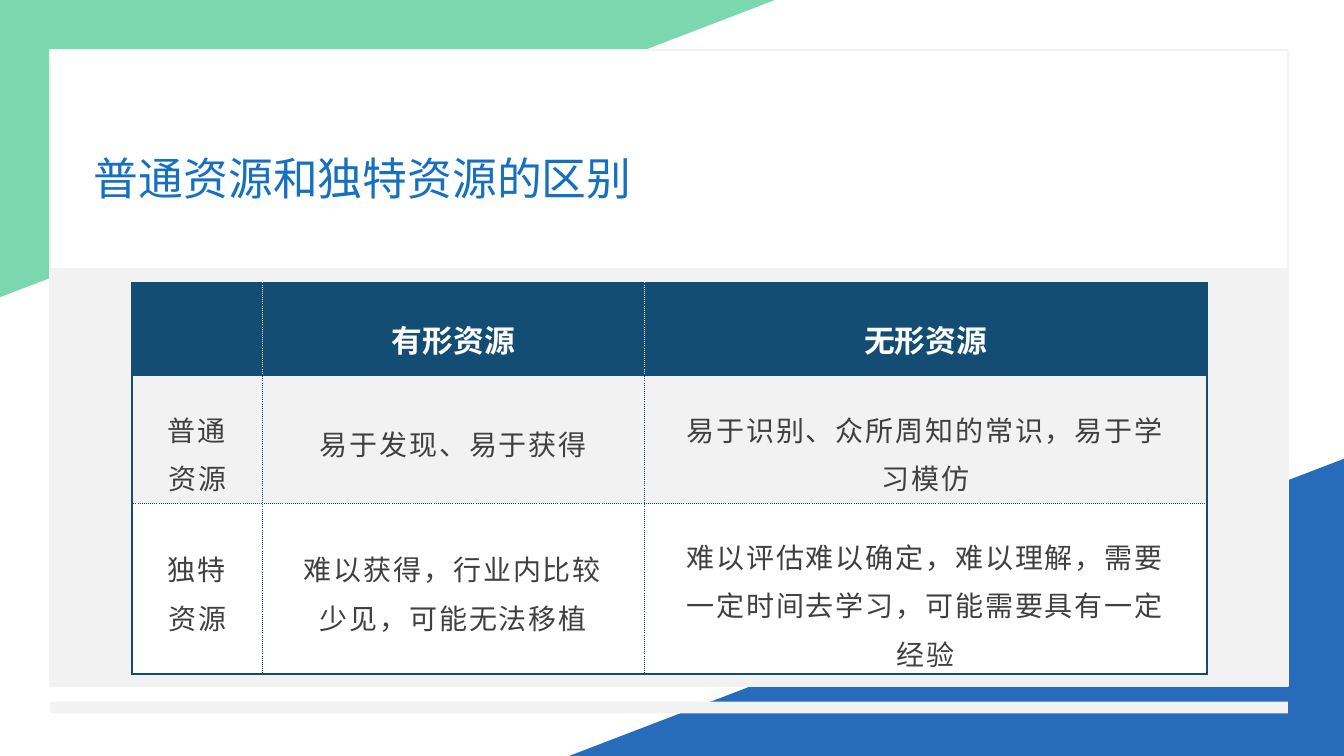
from lxml import etree
from pptx import Presentation
from pptx import util as u
from pptx.dml import color
from pptx.enum import shapes, text
from pptx.oxml import ns

FONT = "Noto Sans CJK SC"
NAVY, GREY, WHITE = "144D73", "F2F2F2", "FFFFFF"
TITLE = "普通资源和独特资源的区别"
ROWS = [
    ["", "有形资源", "无形资源"],
    ["普通资源", "易于发现、易于获得", "易于识别、众所周知的常识，易于学习模仿"],
    ["独特资源", "难以获得，行业内比较少见，可能无法移植",
     "难以评估难以确定，难以理解，需要一定时间去学习，可能需要具有一定经验"],
]
COLUMN_WIDTHS = [3.28, 9.63, 14.17]
ROW_HEIGHTS = [2.31, 3.23, 3.23]
ROW_FILLS = [NAVY, GREY, WHITE]
BOTTOM_MARGINS = [[0.33, 0.33, 0.33], [0.1, 0.61, 0.1], [0.61, 0.61, 0]]
SLIDE_WIDTH, SLIDE_HEIGHT = 33.87, 19.05
TRIANGLE_WIDTH, TRIANGLE_HEIGHT = 7.49, 19.53
TRIANGLES = [
    (SLIDE_WIDTH - TRIANGLE_HEIGHT, SLIDE_HEIGHT - TRIANGLE_WIDTH, 270, "266CBA", None),
    (0, 0, 90, "07B566", 53),
]
PANELS = [(17.68, 0.3, GREY, None), (1.27, 5.54, WHITE, GREY), (6.78, 10.5, GREY, GREY)]


def rgb(value):
    return color.RGBColor.from_string(value)


def add_child(parent, tag, **attributes):
    return etree.SubElement(parent, ns.qn(tag), **attributes)


def add_block(slide, kind, box, fill, line=None, rotation=0, opacity=None):
    shape = slide.shapes.add_shape(kind, *[u.Cm(value) for value in box])
    shape.shadow.inherit = False
    shape.rotation = rotation
    shape.fill.solid()
    shape.fill.fore_color.rgb = rgb(fill)
    if opacity:
        solid = shape.fill._xPr.find(ns.qn("a:solidFill"))
        add_child(solid[0], "a:alpha", val=str(opacity * 1000))
    if line:
        shape.line.color.rgb = rgb(line)
        shape.line.width = u.Pt(1.5)
    else:
        shape.line.fill.background()


def write_text(frame, content, size, fill, bold=False, align="CENTER", leading=1.2, spacing=0):
    frame.word_wrap = True
    paragraph = frame.paragraphs[0]
    paragraph.alignment = getattr(text.PP_ALIGN, align)
    paragraph.line_spacing = leading
    paragraph.space_before = u.Pt(0)
    run = paragraph.add_run()
    run.text = content
    run.font.size = u.Pt(size)
    run.font.bold = bold
    run.font.color.rgb = rgb(fill)
    run.font.name = FONT
    properties = run.font._element
    add_child(properties, "a:ea", typeface=FONT)
    if spacing:
        properties.set("spc", str(int(spacing * 100)))


def set_borders(cell, borders):
    properties = cell._tc.get_or_add_tcPr()
    for index, (side, (fill, width, dash)) in enumerate(borders.items()):
        line = etree.Element(ns.qn(f"a:ln{side}"), w=str(u.Pt(width)))
        add_child(add_child(line, "a:solidFill"), "a:srgbClr", val=fill)
        add_child(line, "a:prstDash", val=dash)
        properties.insert(index, line)


def add_resource_table(slide):
    last_row, last_column = len(ROWS) - 1, len(COLUMN_WIDTHS) - 1
    frame = slide.shapes.add_table(
        len(ROWS), len(COLUMN_WIDTHS), u.Cm(3.33), u.Cm(7.14),
        u.Cm(sum(COLUMN_WIDTHS)), u.Cm(sum(ROW_HEIGHTS)))
    table = frame.table
    for column, width in zip(table.columns, COLUMN_WIDTHS):
        column.width = u.Cm(width)
    for row, height in zip(table.rows, ROW_HEIGHTS):
        row.height = u.Cm(height)
    solid = (NAVY, 1.5, "solid")
    dotted = (NAVY, 0.25, "sysDot")
    for r, contents in enumerate(ROWS):
        divider = dotted if r else (WHITE, 0.25, "sysDot")
        for c, content in enumerate(contents):
            cell = table.cell(r, c)
            cell.fill.solid()
            cell.fill.fore_color.rgb = rgb(ROW_FILLS[r])
            cell.vertical_anchor = text.MSO_ANCHOR.MIDDLE
            cell.margin_left = cell.margin_right = u.Cm(0.88)
            cell.margin_top = u.Cm(0.61)
            cell.margin_bottom = u.Cm(BOTTOM_MARGINS[r][c])
            set_borders(cell, {
                "L": divider if c else solid,
                "R": divider if c < last_column else solid,
                "T": dotted if r == last_row else solid,
                "B": dotted if 0 < r < last_row else solid,
            })
            if content and r == 0:
                write_text(cell.text_frame, content, 22, WHITE, bold=True)
            elif content:
                write_text(cell.text_frame, content, 20, "404040", spacing=1.3)


def add_title(slide):
    title = slide.shapes.title
    title.left, title.top = u.Cm(2.11), u.Cm(2.36)
    title.width, title.height = u.Cm(27.1), u.Cm(3.81)
    title.text_frame.auto_size = text.MSO_AUTO_SIZE.NONE
    title.text_frame.vertical_anchor = text.MSO_ANCHOR.MIDDLE
    write_text(title.text_frame, TITLE, 32, "1570C1", align="LEFT", leading=1.3)
    title._element.getparent().append(title._element)


def main():
    presentation = Presentation()
    presentation.slide_width = u.Cm(SLIDE_WIDTH)
    presentation.slide_height = u.Cm(SLIDE_HEIGHT)
    slide = presentation.slides.add_slide(presentation.slide_layouts[5])
    shift = (TRIANGLE_HEIGHT - TRIANGLE_WIDTH) / 2
    for left, top, rotation, fill, opacity in TRIANGLES:
        box = (left + shift, top - shift, TRIANGLE_WIDTH, TRIANGLE_HEIGHT)
        add_block(slide, shapes.MSO_SHAPE.RIGHT_TRIANGLE, box, fill,
                  rotation=rotation, opacity=opacity)
    for top, height, fill, line in PANELS:
        add_block(slide, shapes.MSO_SHAPE.RECTANGLE, (1.27, top, 31.19, height), fill, line)
    add_title(slide)
    add_resource_table(slide)
    presentation.save("out.pptx")


if __name__ == "__main__":
    main()
